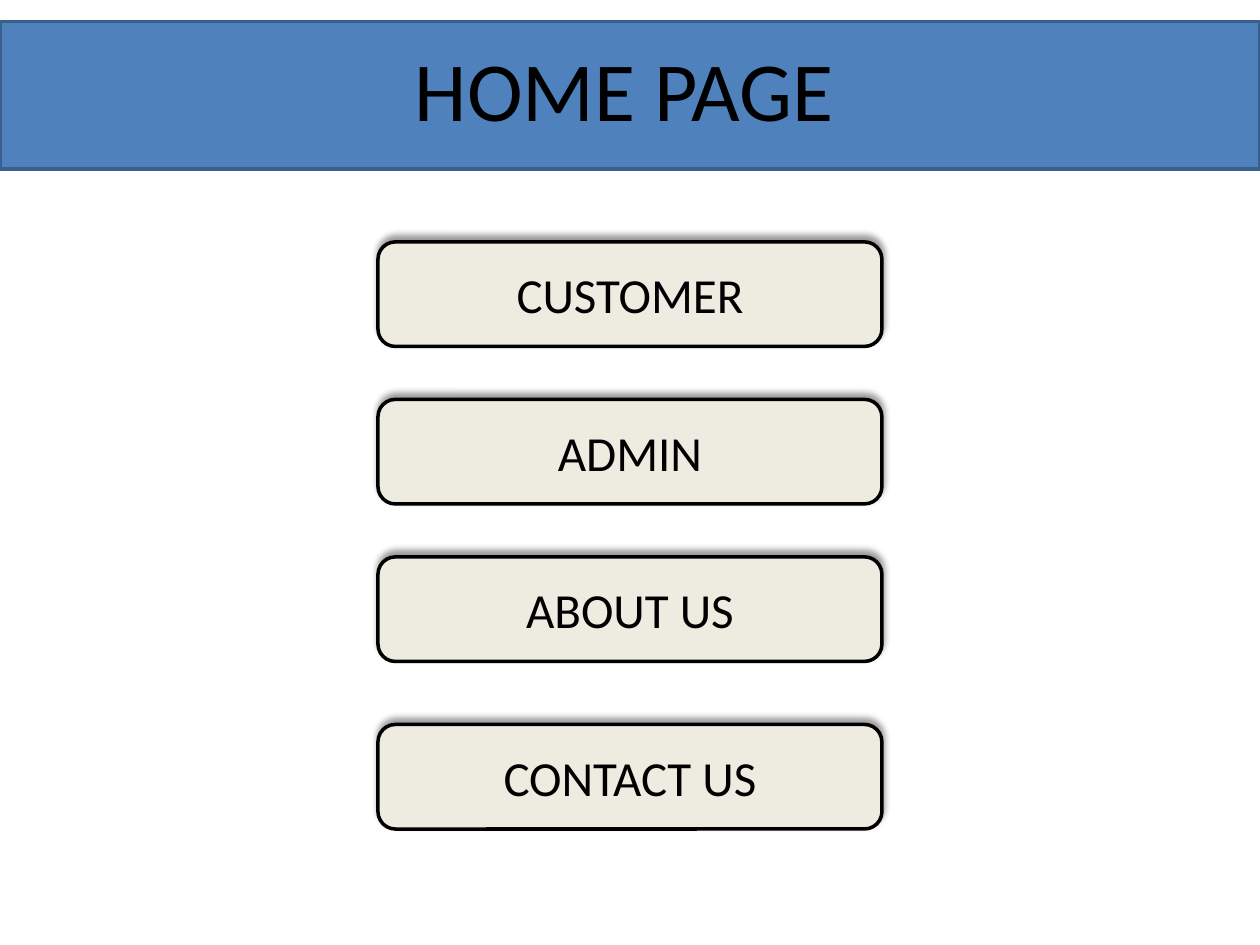
from lxml.etree import SubElement
from pptx import Presentation
from pptx.dml.color import RGBColor
from pptx.enum.shapes import MSO_SHAPE
from pptx.enum.text import MSO_ANCHOR, PP_ALIGN
from pptx.oxml.ns import qn
from pptx.util import Inches, Pt


def color(value):
    return RGBColor.from_string(value)


def write(shape, text, size):
    frame = shape.text_frame
    frame.word_wrap = True
    para = frame.paragraphs[0]
    para.alignment = PP_ALIGN.CENTER
    span = para.add_run()
    span.text = text
    span.font.name = "Calibri"
    span.font.size = Pt(size)
    span.font.color.rgb = color("000000")


deck = Presentation()
deck.slide_width = Inches(10)
deck.slide_height = Inches(7.5)
page = deck.slides.add_slide(deck.slide_layouts[6])

# Title banner
banner = page.shapes.add_shape(
    MSO_SHAPE.RECTANGLE, Inches(0), Inches(0.17), Inches(10), Inches(1.17))
banner.shadow.inherit = False
banner.fill.solid()
banner.fill.fore_color.rgb = color("4F81BD")
banner.line.color.rgb = color("3A5F8C")
banner.line.width = Pt(2)

title = page.shapes.add_textbox(
    Inches(1.58), Inches(0.25), Inches(6.75), Inches(0.91))
write(title, "HOME PAGE", 48)

# Menu buttons
menu = [("CUSTOMER", 1.92), ("ADMIN", 3.17), ("ABOUT US", 4.42), ("CONTACT US", 5.75)]
for label, top in menu:
    button = page.shapes.add_shape(
        MSO_SHAPE.ROUNDED_RECTANGLE, Inches(3), Inches(top), Inches(4), Inches(0.83))
    button.fill.solid()
    button.fill.fore_color.rgb = color("EEECE1")
    button.line.color.rgb = color("000000")
    button.line.width = Pt(2)
    button.text_frame.vertical_anchor = MSO_ANCHOR.MIDDLE
    write(button, label, 28)

    # Soft shadow cast upwards
    button.shadow.inherit = False
    effects = button._element.spPr.find(qn("a:effectLst"))
    shadow = SubElement(effects, qn("a:outerShdw"), blurRad=str(Pt(4)),
                        dist=str(Pt(3)), dir=str(270 * 60000), rotWithShape="0")
    tint = SubElement(shadow, qn("a:srgbClr"), val="000000")
    SubElement(tint, qn("a:alpha"), val="40000")

deck.save("out.pptx")
